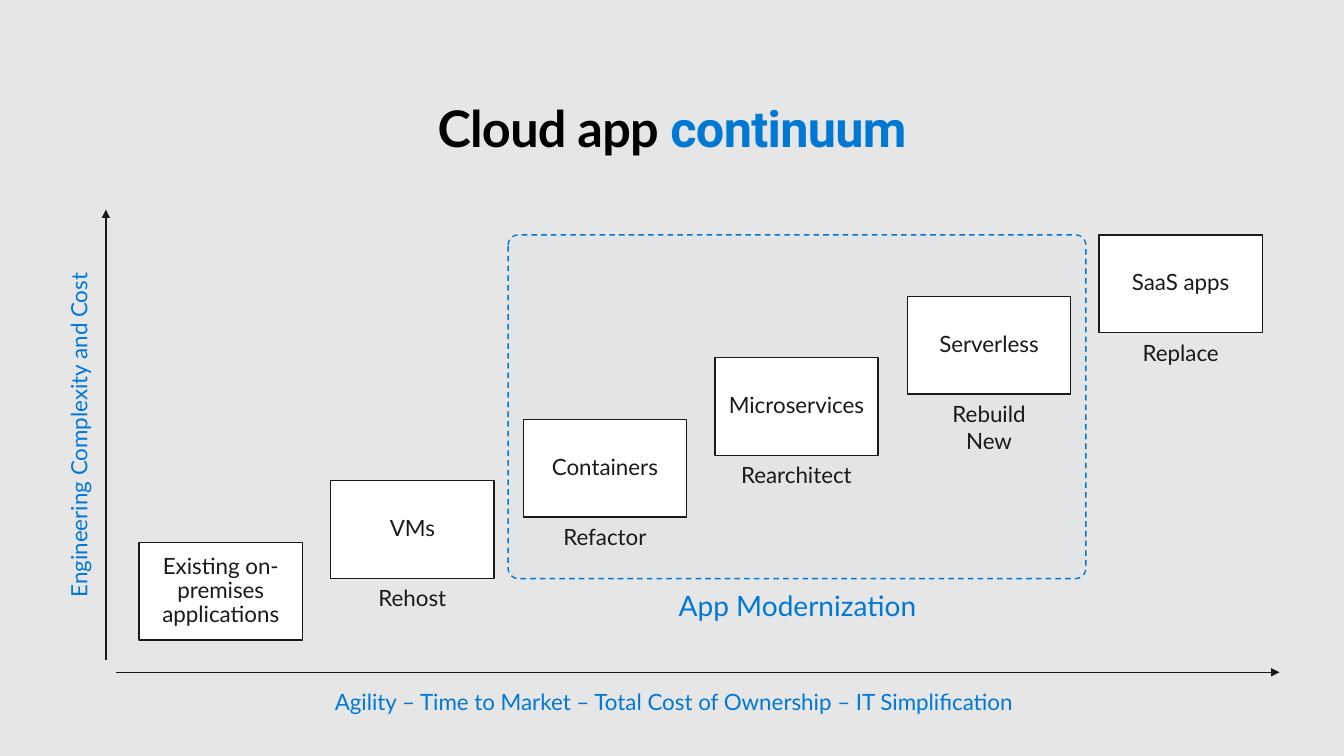
"""Build the cloud app continuum slide."""
from lxml.etree import SubElement
from pptx import Presentation
from pptx.dml.color import RGBColor
from pptx.enum.dml import MSO_LINE
from pptx.enum.shapes import MSO_CONNECTOR, MSO_SHAPE
from pptx.enum.text import MSO_ANCHOR, MSO_AUTO_SIZE, PP_ALIGN
from pptx.oxml.ns import qn
from pptx.util import Pt

PX = 9144
BACKGROUND = RGBColor(0xE6, 0xE6, 0xE6)
FRAME_TINT = RGBColor(0xE2, 0xE4, 0xE6)
WHITE = RGBColor(0xFF, 0xFF, 0xFF)
BLACK = RGBColor(0x00, 0x00, 0x00)
INK = RGBColor(0x1A, 0x1A, 0x1A)
ACCENT = RGBColor(0x00, 0x78, 0xD4)
CAPTION_BLUE = RGBColor(0x00, 0x78, 0xD7)

STAGES = [
    ("Existing on-premises applications", "", 20),
    ("VMs", "Rehost", 20),
    ("Containers", "Refactor", 20),
    ("Microservices", "Rearchitect", 10),
    ("Serverless", "Rebuild\vNew", 20),
    ("SaaS apps", "Replace", 20),
]
FIRST_LEFT, FIRST_TOP = 138, 538
STEP_RIGHT, STEP_UP = 190.4, 61
BOX_WIDTH, BOX_HEIGHT = 162, 97
LABEL_WIDTH, LABEL_HEIGHT, LABEL_GAP = 144, 27, 6


def px(*lengths):
    """Turn px lengths into EMU."""
    return [length * PX for length in lengths]


def style_run(run, size, color, font="Lato"):
    """Set the font, size and colour of a run."""
    run.font.name = font
    run.font.size = Pt(size)
    run.font.color.rgb = color


def set_insets(frame, side, vertical):
    """Wrap the text and set its insets in px."""
    frame.word_wrap = True
    frame.margin_left = frame.margin_right = side * PX
    frame.margin_top = frame.margin_bottom = vertical * PX


def write_centred(frame, text, size, color):
    """Write one centred paragraph and return it."""
    paragraph = frame.paragraphs[0]
    paragraph.text = text
    paragraph.alignment = PP_ALIGN.CENTER
    for run in paragraph.runs:
        style_run(run, size, color)
    return paragraph


def add_caption(shapes, area, text, size=16, color=CAPTION_BLUE, rotation=0):
    """Add a centred caption without insets."""
    caption = shapes.add_textbox(*px(*area))
    caption.rotation = rotation
    frame = caption.text_frame
    set_insets(frame, 0, 0)
    frame.auto_size = MSO_AUTO_SIZE.SHAPE_TO_FIT_TEXT
    write_centred(frame, text, size, color)


def add_panel(shapes, kind, area, fill, line):
    """Add a filled shape with a one point outline."""
    panel = shapes.add_shape(kind, *px(*area))
    panel.shadow.inherit = False
    panel.fill.solid()
    panel.fill.fore_color.rgb = fill
    panel.line.color.rgb = line
    panel.line.width = Pt(1)
    return panel


def add_axis(shapes, *ends):
    """Add an axis line with an arrowhead at its end."""
    axis = shapes.add_connector(MSO_CONNECTOR.STRAIGHT, *px(*ends))
    axis.line.color.rgb = INK
    axis.line.width = Pt(1)
    SubElement(axis.line._get_or_add_ln(), qn("a:tailEnd"), type="triangle")
    SubElement(axis._element.spPr, qn("a:effectLst"))


def add_stage(shapes, index, name, move, side_inset):
    """Add one step of the continuum, grouped with its label if it has one."""
    left = round(FIRST_LEFT + index * STEP_RIGHT)
    top = FIRST_TOP - index * STEP_UP
    parent = shapes.add_group_shape().shapes if move else shapes
    box = add_panel(parent, MSO_SHAPE.RECTANGLE,
                    (left, top, BOX_WIDTH, BOX_HEIGHT), WHITE, INK)
    frame = box.text_frame
    set_insets(frame, side_inset, 16)
    frame.vertical_anchor = MSO_ANCHOR.MIDDLE
    write_centred(frame, name, 16, INK).line_spacing = 0.9
    if move:
        label_left = left + (BOX_WIDTH - LABEL_WIDTH) // 2
        label_top = top + BOX_HEIGHT + LABEL_GAP
        label_height = LABEL_HEIGHT * len(move.split("\v"))
        add_caption(parent, (label_left, label_top, LABEL_WIDTH, label_height),
                    move, color=INK)


def add_title(title):
    """Place the title and write its two coloured parts."""
    title.left, title.top, title.width, title.height = px(64, 96, 1205, 61)
    frame = title.text_frame
    set_insets(frame, 0, 0)
    frame.auto_size = MSO_AUTO_SIZE.SHAPE_TO_FIT_TEXT
    frame.vertical_anchor = MSO_ANCHOR.TOP
    heading = frame.paragraphs[0]
    heading.alignment = PP_ALIGN.CENTER
    for text, font, color in (("Cloud app ", "Lato", BLACK),
                              ("continuum", "Roboto", ACCENT)):
        part = heading.add_run()
        part.text = text
        style_run(part, 36, color, font)
        part.font.bold = True
        part.font._element.set("spc", "-50")


def add_modernization_frame(shapes):
    """Add the dashed frame around the modernization steps."""
    frame = add_panel(shapes, MSO_SHAPE.ROUNDED_RECTANGLE,
                      (504, 233, 573, 341), FRAME_TINT, ACCENT)
    frame.adjustments[0] = 0.03
    frame.line.dash_style = MSO_LINE.DASH


def main():
    """Build and save the slide."""
    deck = Presentation()
    deck.slide_width, deck.slide_height = px(1333, 750)
    slide = deck.slides.add_slide(deck.slide_layouts[5])
    slide.background.fill.solid()
    slide.background.fill.fore_color.rgb = BACKGROUND
    shapes = slide.shapes
    add_title(shapes.title)
    add_modernization_frame(shapes)
    add_axis(shapes, 105, 655, 105, 208)
    add_axis(shapes, 115, 667, 1269, 667)
    add_caption(shapes, (315, 683, 707, 27),
                "Agility – Time to Market – Total Cost of Ownership – IT Simplification")
    add_caption(shapes, (-107, 418, 370, 27),
                "Engineering Complexity and Cost", rotation=270)
    for index, stage in enumerate(STAGES):
        add_stage(shapes, index, *stage)
    add_caption(shapes, (651, 584, 280, 34), "App Modernization", size=20)
    deck.save("out.pptx")


if __name__ == "__main__":
    main()
